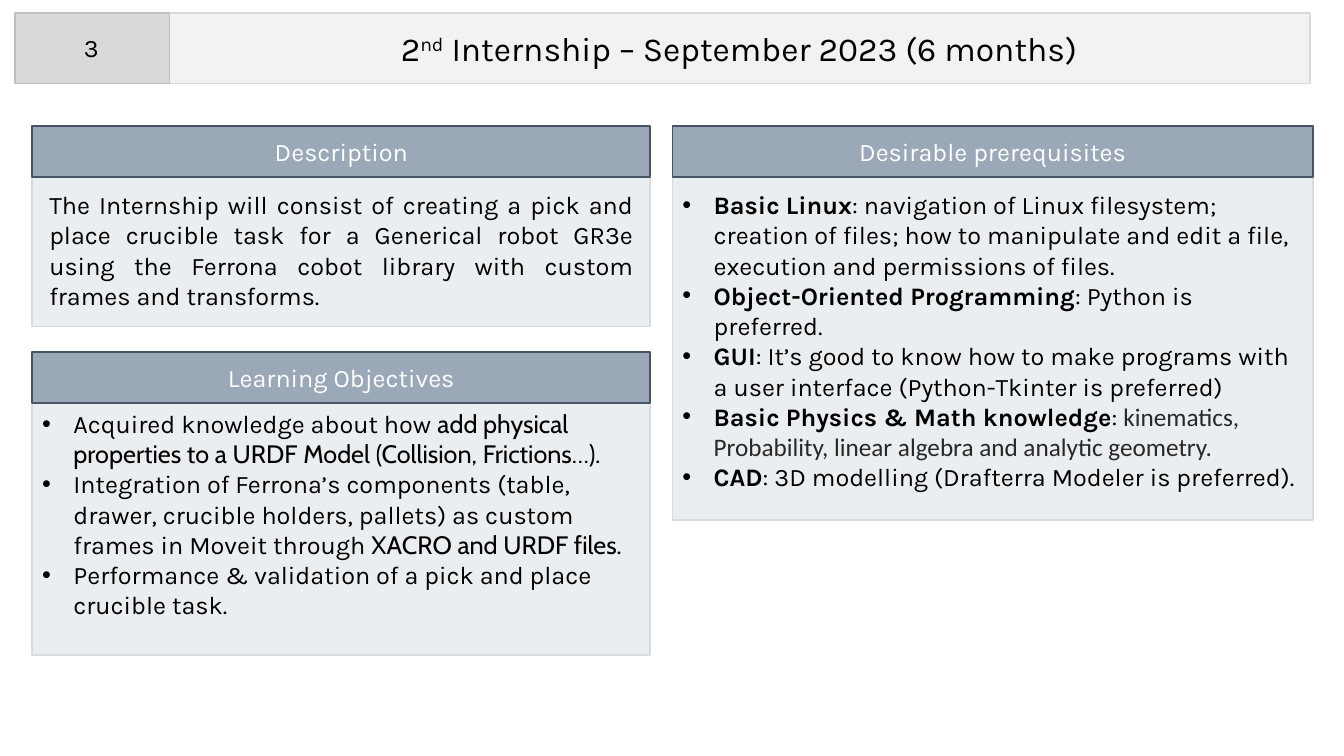
from pptx import Presentation
from pptx.dml.color import RGBColor
from pptx.enum import shapes, text
from pptx.util import Inches, Pt
from lxml import etree

COLOURS = {
    "black": "000000", "white": "FFFFFF", "charcoal": "282829",
    "title": "F2F2F2", "title_edge": "D9D9D9",
    "number": "D9D9D9", "number_edge": "BFBFBF",
    "header": "9BA8B7", "header_edge": "475462",
    "body": "EBEEF1", "body_edge": "D7DCE2",
}
HEADER_HEIGHT = 0.51
BULLET_INDENT = Inches(0.31)

DESCRIPTION = [[(
    "The Internship will consist of creating a pick and place crucible task for a "
    "Generical robot GR3e using the Ferrona cobot library with custom frames and "
    "transforms.", {})]]
CABIN = {"name": "Cabin"}
OBJECTIVES = [
    [("Acquired knowledge about how ", {}),
     ("add physical properties to a URDF Model (Collision, Frictions…)", CABIN),
     (".", {})],
    [("Integration of Ferrona’s components (table, drawer, crucible holders, pallets) "
      "as custom frames in Moveit through ", {}),
     ("XACRO and URDF files", CABIN), (".", {})],
    [("Performance & validation of a pick and place crucible task.", {})],
]
BOLD = {"bold": True}
PREREQUISITES = [
    [("Basic Linux", BOLD),
     (": navigation of Linux filesystem; creation of files; how to manipulate and "
      "edit a file, execution and permissions of files.", {})],
    [("Object-Oriented Programming", BOLD), (": Python is preferred.", {})],
    [("GUI", BOLD),
     (": It’s good to know how to make programs with a user interface "
      "(Python-Tkinter is preferred)", {})],
    [("Basic Physics & Math knowledge", BOLD), (": ", {}),
     ("kinematics, Probability, linear algebra and analytic geometry.",
      {"name": "Calibri", "colour": "charcoal"})],
    [("CAD", BOLD), (": 3D modelling (Drafterra Modeler is preferred).", {})],
]


def colour(name):
    """Return the named colour."""
    return RGBColor.from_string(COLOURS[name])


def add_box(slide, at, kind, line_width=1.25):
    """Add a rectangle filled and edged in the colours of its kind."""
    box = slide.shapes.add_shape(shapes.MSO_SHAPE.RECTANGLE, *map(Inches, at))
    box.shadow.inherit = False
    box.fill.solid()
    box.fill.fore_color.rgb = colour(kind)
    box.line.color.rgb = colour(kind + "_edge")
    box.line.width = Pt(line_width)
    return box


def add_run(paragraph, words, name="Karla", bold=False, colour_name="black", raised=False):
    """Add a run in its own font, weight and colour."""
    run = paragraph.add_run()
    run.text = words
    run.font.name = name
    run.font.bold = bold
    run.font.color.rgb = colour(colour_name)
    if raised:
        run.font._element.set("baseline", "30000")


def style(paragraph, align, size=18):
    """Set the alignment and text size of a paragraph."""
    paragraph.alignment = align
    paragraph.font.size = Pt(size)


def add_bullet(paragraph):
    """Give a paragraph a hanging bullet."""
    properties = paragraph._p.get_or_add_pPr()
    properties.set("marL", str(BULLET_INDENT))
    properties.set("indent", str(-BULLET_INDENT))
    namespace = properties.nsmap["a"]
    font = etree.Element(f"{{{namespace}}}buFont", typeface="Arial")
    mark = etree.Element(f"{{{namespace}}}buChar", char="•")
    properties.insert(0, font)
    properties.insert(1, mark)


def add_text(slide, at, paragraphs, align, bulleted=False):
    """Add a wrapping text box of styled paragraphs."""
    frame = slide.shapes.add_textbox(*map(Inches, at)).text_frame
    frame.word_wrap = True
    for index, runs in enumerate(paragraphs):
        paragraph = frame.paragraphs[0] if index == 0 else frame.add_paragraph()
        style(paragraph, align)
        if bulleted:
            add_bullet(paragraph)
        for words, look in runs:
            add_run(paragraph, words, look.get("name", "Karla"),
                    look.get("bold", False), look.get("colour", "black"))


def add_panel(slide, heading, left, top, width, body_height):
    """Add a panel body with a heading bar on top."""
    add_box(slide, (left, top + 0.5, width, body_height), "body")
    bar = add_box(slide, (left, top, width, HEADER_HEIGHT), "header")
    bar.text_frame.vertical_anchor = text.MSO_ANCHOR.MIDDLE
    paragraph = bar.text_frame.paragraphs[0]
    style(paragraph, text.PP_ALIGN.CENTER)
    add_run(paragraph, heading, colour_name="white")


def add_title(slide):
    """Add the title bar with the slide number beside it."""
    bar = add_box(slide, (1.67, 0.13, 11.32, 0.7), "title")
    bar.text_frame.vertical_anchor = text.MSO_ANCHOR.MIDDLE
    title = bar.text_frame.paragraphs[0]
    style(title, text.PP_ALIGN.CENTER, 24)
    add_run(title, "2")
    add_run(title, "nd", raised=True)
    add_run(title, " Internship – September 2023 (6 months)")
    add_box(slide, (0.15, 0.13, 1.53, 0.7), "number", 1)
    add_text(slide, (0.21, 0.27, 1.39, 0.4), [[("3", {})]], text.PP_ALIGN.CENTER)


def main():
    """Build the internship slide and save it."""
    deck = Presentation()
    deck.slide_width, deck.slide_height = Inches(13.33), Inches(7.5)
    slide = deck.slides.add_slide(deck.slide_layouts[6])
    add_title(slide)
    add_panel(slide, "Description", 0.32, 1.25, 6.13, 1.49)
    add_panel(slide, "Desirable prerequisites", 6.67, 1.25, 6.35, 3.41)
    add_panel(slide, "Learning Objectives", 0.32, 3.49, 6.13, 2.51)
    add_text(slide, (0.39, 1.83, 5.99, 1.31), DESCRIPTION, text.PP_ALIGN.JUSTIFY)
    left = text.PP_ALIGN.LEFT
    add_text(slide, (0.32, 4, 6.13, 2.22), OBJECTIVES, left, bulleted=True)
    add_text(slide, (6.67, 1.83, 6.35, 2.83), PREREQUISITES, left, bulleted=True)
    deck.save("out.pptx")


main()
